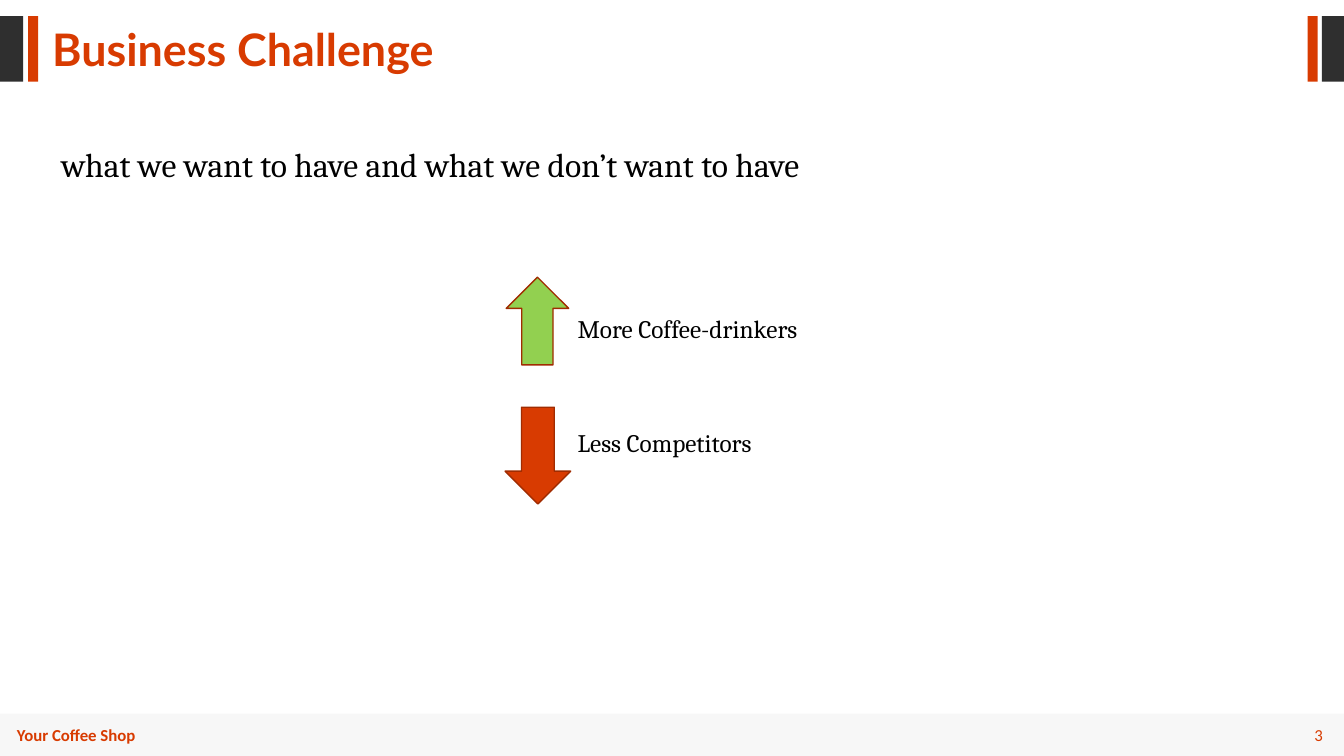
from dataclasses import dataclass

from lxml import etree
from pptx import Presentation
from pptx import util as u
from pptx.dml.color import RGBColor
from pptx.enum import shapes, text
from pptx.oxml import ns


@dataclass(frozen=True)
class Theme:
    accent: str = "D83B01"
    outline: str = "A02C01"
    dark: str = "2F2F2F"
    footer: str = "E6E6E6"
    growth: str = "92D050"
    body: str = "000000"
    title_font: str = "Lato"
    body_font: str = "Cambria"
    footer_font: str = "Calibri"
    title_size: int = 32
    lead_size: int = 24
    label_size: int = 18
    footer_size: int = 12


THEME = Theme()
SHAPE = shapes.MSO_SHAPE


def add_block(page, kind, left, top, width, height, fill, outline=None):
    block = page.shapes.add_shape(
        kind, u.Inches(left), u.Inches(top), u.Inches(width), u.Inches(height))
    block.shadow.inherit = False
    block.fill.solid()
    block.fill.fore_color.rgb = RGBColor.from_string(fill)
    if outline:
        block.line.color.rgb = RGBColor.from_string(outline)
        block.line.width = u.Pt(1)
    else:
        block.line.fill.background()
    return block


def set_opacity(block, percent):
    color = block.fill._xPr.find(".//" + ns.qn("a:srgbClr"))
    etree.SubElement(color, ns.qn("a:alpha"), val=str(percent * 1000))


def add_text(page, words, left, top, width, height, font, size, color,
             bold=False, wrap=True):
    box = page.shapes.add_textbox(
        u.Inches(left), u.Inches(top), u.Inches(width), u.Inches(height))
    frame = box.text_frame
    frame.text = words
    frame.word_wrap = wrap
    para = frame.paragraphs[0]
    span = para.runs[0]
    span.font.name = font
    span.font.size = u.Pt(size)
    span.font.bold = bold
    span.font.color.rgb = RGBColor.from_string(color)
    return box


def add_header(page):
    for left, width, fill in (
        (0, 0.23, THEME.dark),
        (0.28, 0.1, THEME.accent),
        (12.97, 0.1, THEME.accent),
        (13.11, 0.22, THEME.dark),
    ):
        add_block(page, SHAPE.RECTANGLE, left, 0.16, width, 0.65, fill)
    title = add_text(page, "Business Challenge", 0.42, 0.27, 6.67, 0.54,
                     THEME.title_font, THEME.title_size, THEME.accent, bold=True)
    title.text_frame.paragraphs[0].line_spacing = 0.8


def add_footer(page):
    band = add_block(page, SHAPE.RECTANGLE, 0, 7.08, 13.33, 0.42, THEME.footer)
    set_opacity(band, 30)
    style = (THEME.footer_font, THEME.footer_size, THEME.accent)
    add_text(page, "Your Coffee Shop", 0.07, 7.14, 1.84, 0.3, *style, bold=True)
    number = add_text(page, "3", 12.35, 7.14, 0.87, 0.3, *style)
    number.text_frame.vertical_anchor = text.MSO_ANCHOR.MIDDLE
    number.text_frame.paragraphs[0].alignment = text.PP_ALIGN.RIGHT


def add_goal(page, words, label_top, kind, arrow_place, fill):
    add_text(page, words, 5.63, label_top, 2.52, 0.4,
             THEME.body_font, THEME.label_size, THEME.body)
    add_block(page, kind, *arrow_place, fill, THEME.outline)


def main():
    deck = Presentation()
    deck.slide_width = u.Inches(13.33)
    deck.slide_height = u.Inches(7.5)
    page = deck.slides.add_slide(deck.slide_layouts[6])
    add_footer(page)
    add_header(page)
    add_text(page, "what we want to have and what we don’t want to have",
             0.51, 1.38, 7.87, 0.5, THEME.body_font, THEME.lead_size,
             THEME.body, wrap=False)
    add_goal(page, "More Coffee-drinkers", 3.06, SHAPE.UP_ARROW,
             (5.02, 2.75, 0.62, 0.87), THEME.growth)
    add_goal(page, "Less Competitors", 4.19, SHAPE.DOWN_ARROW,
             (5.01, 4.04, 0.65, 0.96), THEME.accent)
    deck.save("out.pptx")


if __name__ == "__main__":
    main()
